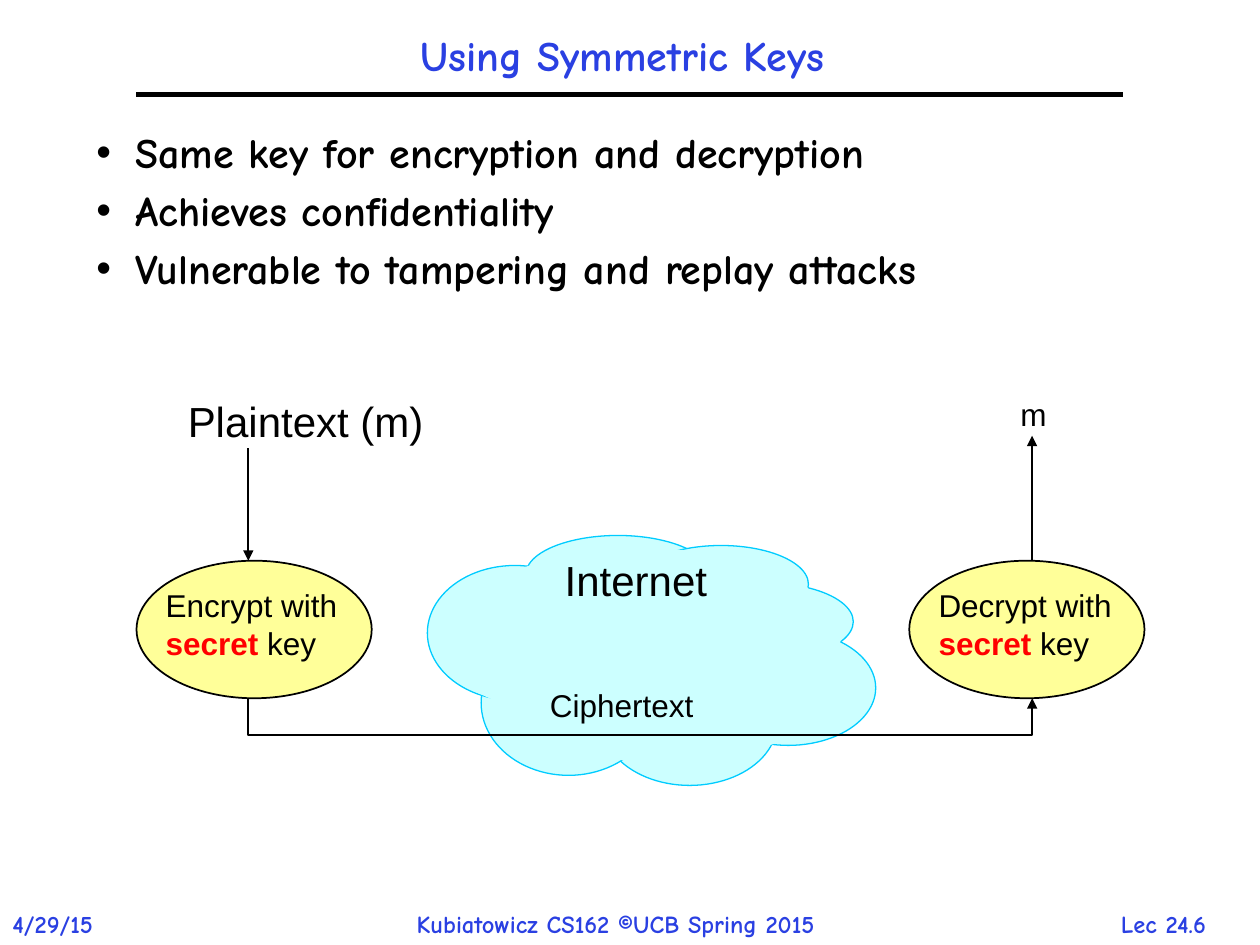
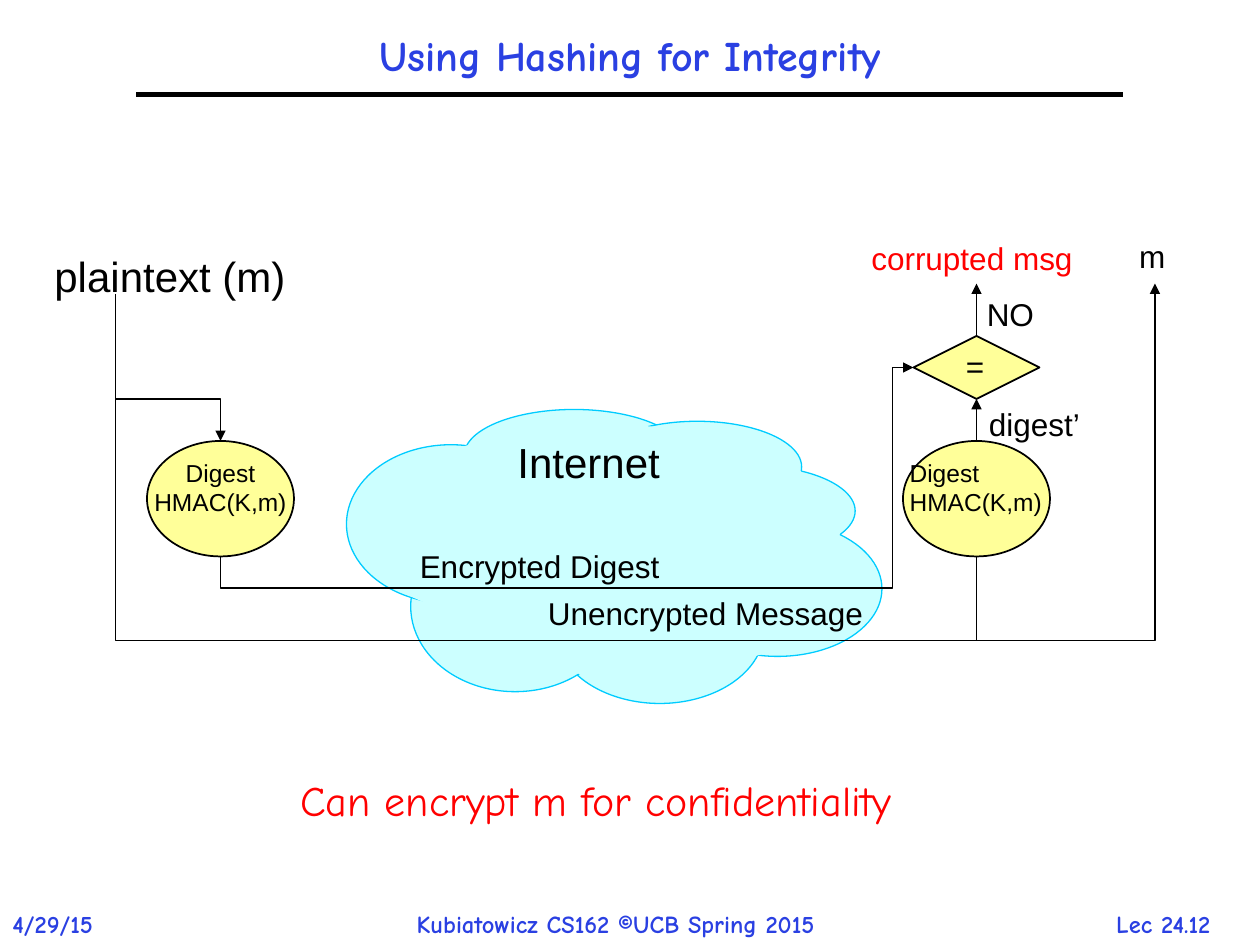
import pptx
import pptx.dml.color
import pptx.enum.shapes
import pptx.enum.text
import pptx.oxml.ns
import pptx.util
from lxml import etree

# All lengths are cells of a 120 x 90 grid on the slide.
SLIDE_WIDTH = pptx.util.Inches(10)
SLIDE_HEIGHT = pptx.util.Inches(7.5)
COLUMNS = 120
CELL = SLIDE_WIDTH / COLUMNS

BLUE, BLACK, RED = "2A40E2", "000000", "FF0000"
YELLOW, CLOUD_FILL, CLOUD_LINE = "FFFF99", "CCFFFF", "00CCFF"
HAND, PLAIN = "Comic Neue", "Arial"
LEFT, CENTER = pptx.enum.text.PP_ALIGN.LEFT, pptx.enum.text.PP_ALIGN.CENTER
OVAL = pptx.enum.shapes.MSO_SHAPE.OVAL
DIAMOND = pptx.enum.shapes.MSO_SHAPE.DIAMOND
TOP, BOTTOM = 0, 2

# Shares of the cloud's width and height.
CLOUD_PUFFS = [
    (0.22, 0, 0.41, 0.31), (0.46, 0.04, 0.39, 0.31), (0.56, 0.19, 0.39, 0.31),
    (0.61, 0.38, 0.39, 0.46), (0.39, 0.5, 0.39, 0.5), (0.12, 0.38, 0.39, 0.58),
    (0, 0.12, 0.39, 0.54),
]
CLOUD_CORE = [
    (0.12, 0.19), (0.29, 0.08), (0.44, 0.04), (0.73, 0.08), (0.83, 0.15),
    (0.88, 0.31), (0.93, 0.35), (0.88, 0.77), (0.56, 0.96), (0.25, 0.81),
    (0.15, 0.66), (0.1, 0.62),
]


def cells(*counts):
    return [pptx.util.Emu(round(count * CELL)) for count in counts]


def rgb(color):
    return pptx.dml.color.RGBColor.from_string(color)


def set_line(shape, color, width):
    shape.line.color.rgb = rgb(color)
    shape.line.width = pptx.util.Pt(width)


def add_arrowhead(shape):
    line = shape.element.spPr.find(pptx.oxml.ns.qn("a:ln"))
    etree.SubElement(line, pptx.oxml.ns.qn("a:tailEnd"), type="triangle")


def add_bullet(para):
    properties = para._p.get_or_add_pPr()
    indent = pptx.util.Inches(0.31)
    properties.set("marL", str(indent))
    properties.set("indent", str(-indent))
    etree.SubElement(properties, pptx.oxml.ns.qn("a:buFont"), typeface=PLAIN)
    etree.SubElement(properties, pptx.oxml.ns.qn("a:buChar"), char="•")


def add_text(page, paragraphs, box, size=18, font=PLAIN, color=BLACK, bold=False,
             align=LEFT, wrap=False, middle=False, spacing=None, before=None, bullet=False):
    """Each paragraph is a string or a list of (text, color, bold) spans."""
    text_box = page.shapes.add_textbox(*cells(*box))
    frame = text_box.text_frame
    frame.word_wrap = wrap
    if not wrap:
        frame.auto_size = pptx.enum.text.MSO_AUTO_SIZE.SHAPE_TO_FIT_TEXT
    if middle:
        frame.vertical_anchor = pptx.enum.text.MSO_ANCHOR.MIDDLE
    for index, content in enumerate(paragraphs):
        para = frame.add_paragraph() if index else frame.paragraphs[0]
        para.alignment = align
        para.line_spacing = spacing
        para.space_before = before
        if bullet:
            add_bullet(para)
        spans = [(content, color, bold)] if isinstance(content, str) else content
        for text, span_color, span_bold in spans:
            span = para.add_run()
            span.text = text
            span.font.name = font
            span.font.size = pptx.util.Pt(size)
            span.font.bold = span_bold
            span.font.color.rgb = rgb(span_color)


def add_node(page, kind, box, fill=YELLOW, line=BLACK, width=1):
    node = page.shapes.add_shape(kind, *cells(*box))
    node.shadow.inherit = False
    node.fill.solid()
    node.fill.fore_color.rgb = rgb(fill)
    set_line(node, line, width)
    return node


def add_straight(page, start, end, width=1, arrow=True):
    straight = page.shapes.add_connector(
        pptx.enum.shapes.MSO_CONNECTOR.STRAIGHT, *cells(*start, *end))
    set_line(straight, BLACK, width)
    if arrow:
        add_arrowhead(straight)
    etree.SubElement(straight.element.spPr, pptx.oxml.ns.qn("a:effectLst"))
    return straight


def add_outline(page, points, close):
    first, *others = [cells(*point) for point in points]
    builder = page.shapes.build_freeform(*first)
    builder.add_line_segments(others, close=close)
    outline = builder.convert_to_shape()
    outline.shadow.inherit = False
    return outline


def add_bent_arrow(page, *points):
    arrow = add_outline(page, points, close=False)
    arrow.fill.background()
    set_line(arrow, BLACK, 1)
    add_arrowhead(arrow)


def add_cloud(page, left, top, width, height):
    for x, y, w, h in CLOUD_PUFFS:
        puff = (left + x * width, top + y * height, w * width, h * height)
        add_node(page, OVAL, puff, CLOUD_FILL, CLOUD_LINE, 0.75)
    points = [(left + x * width, top + y * height) for x, y in CLOUD_CORE]
    core = add_outline(page, points, close=True)
    core.fill.solid()
    core.fill.fore_color.rgb = rgb(CLOUD_FILL)
    core.line.fill.background()


def add_page(deck, title, number):
    """Add a slide with the title, its rule and the footers."""
    page = deck.slides.add_slide(deck.slide_layouts[6])
    footer = dict(size=14, font=HAND, color=BLUE, bold=True)
    add_text(page, [f"Lec {number}"], (102.8, 86, 16, 4), align=CENTER, **footer)
    add_text(page, ["4/29/15"], (0, 86, 12, 4), **footer)
    add_text(page, ["Kubiatowicz CS162 ©UCB Spring 2015"], (38.5, 86, 46.4, 4), **footer)
    add_straight(page, (13, 9), (107, 9), width=3, arrow=False)
    add_text(page, [title], (13, 2, 94, 7), size=24, font=HAND, color=BLUE, bold=True,
             align=CENTER, wrap=True, middle=True, spacing=0.9)
    return page


def add_symmetric_keys(deck):
    page = add_page(deck, "Using Symmetric Keys ", "24.6")
    add_text(page, ["Same key for encryption and decryption",
                    "Achieves confidentiality",
                    "Vulnerable to tampering and replay attacks"],
             (8, 12, 104, 67), size=24, font=HAND, bold=True, wrap=True,
             spacing=0.9, before=pptx.util.Pt(7.2), bullet=True)

    add_cloud(page, 40.7, 51, 42.7, 23.8)
    add_text(page, ["Internet"], (52.6, 52.2, 16, 6), size=24)
    secret_key = [("secret", RED, True), (" key", BLACK, False)]
    for action, left in (("Encrypt", 13), ("Decrypt", 86.6)):
        add_node(page, OVAL, (left, 53.4, 22.4, 13.1))
        add_text(page, [f"{action} with", secret_key], (left + 1.6, 55.2, 20.5, 8.4))

    add_text(page, ["Plaintext (m)"], (16.7, 37.1, 25.1, 6), size=24)
    add_text(page, ["m"], (96, 37, 5, 4.8))
    add_text(page, ["Ciphertext"], (51.2, 64.7, 16.2, 4.8))

    sender, receiver = 23.65, 98.3
    add_straight(page, (sender, 42.7), (sender, 53.4))
    add_bent_arrow(page, (sender, 66.5), (sender, 70), (receiver, 70), (receiver, 66.5))
    add_straight(page, (receiver, 53.4), (receiver, 41.5))


def add_hashing(deck):
    page = add_page(deck, "Using Hashing for Integrity", "24.12")
    plaintext, sender, receiver, message = 11, 21, 93, 110
    message_row = 61

    add_cloud(page, 33, 39, 51, 28)
    add_text(page, ["Internet"], (48.1, 41, 16, 6), size=24)
    add_bent_arrow(page, (plaintext, 28), (plaintext, message_row),
                   (receiver, message_row), (receiver, 51.6))

    digests = []
    for center, align in ((sender, CENTER), (receiver, LEFT)):
        digests.append(add_node(page, OVAL, (center - 7, 42, 14, 11)))
        add_text(page, ["Digest", "HMAC(K,m)"], (center - 7.55, 43, 15.1, 6.8),
                 size=14, align=align)
    comparison = add_node(page, DIAMOND, (receiver - 6, 32, 12, 6))

    to_comparison = add_straight(page, (receiver, 42), (receiver, 38))
    to_comparison.begin_connect(digests[1], TOP)
    to_comparison.end_connect(comparison, BOTTOM)
    rejected = add_straight(page, (receiver, 32), (receiver, 27))
    rejected.begin_connect(comparison, TOP)

    add_bent_arrow(page, (plaintext, 38), (sender, 38), (sender, 42))
    add_bent_arrow(page, (sender, 53), (sender, 56), (85, 56), (85, 35), (87, 35))
    add_bent_arrow(page, (receiver, message_row), (message, message_row), (message, 27))

    add_text(page, ["plaintext (m)"], (4, 23.3, 24.6, 6), size=24)
    for label, left, top, width in (
            ("Encrypted Digest", 38.8, 51.5, 25.4),
            ("Unencrypted Message", 51, 56, 32.8),
            ("=", 90.8, 32.5, 4.2),
            ("digest’", 93, 38, 11.2),
            ("NO", 92.8, 27.5, 7),
            ("m", 107.3, 22, 5)):
        add_text(page, [label], (left, top, width, 4.8))
    add_text(page, ["corrupted msg"], (81.8, 22.2, 21.7, 4.8), color=RED)
    add_text(page, ["Can encrypt m for confidentiality"], (27.4, 73.2, 65.2, 6),
             size=24, font=HAND, color=RED)


def main():
    deck = pptx.Presentation()
    deck.slide_width, deck.slide_height = SLIDE_WIDTH, SLIDE_HEIGHT
    add_symmetric_keys(deck)
    add_hashing(deck)
    deck.save("out.pptx")


if __name__ == "__main__":
    main()
